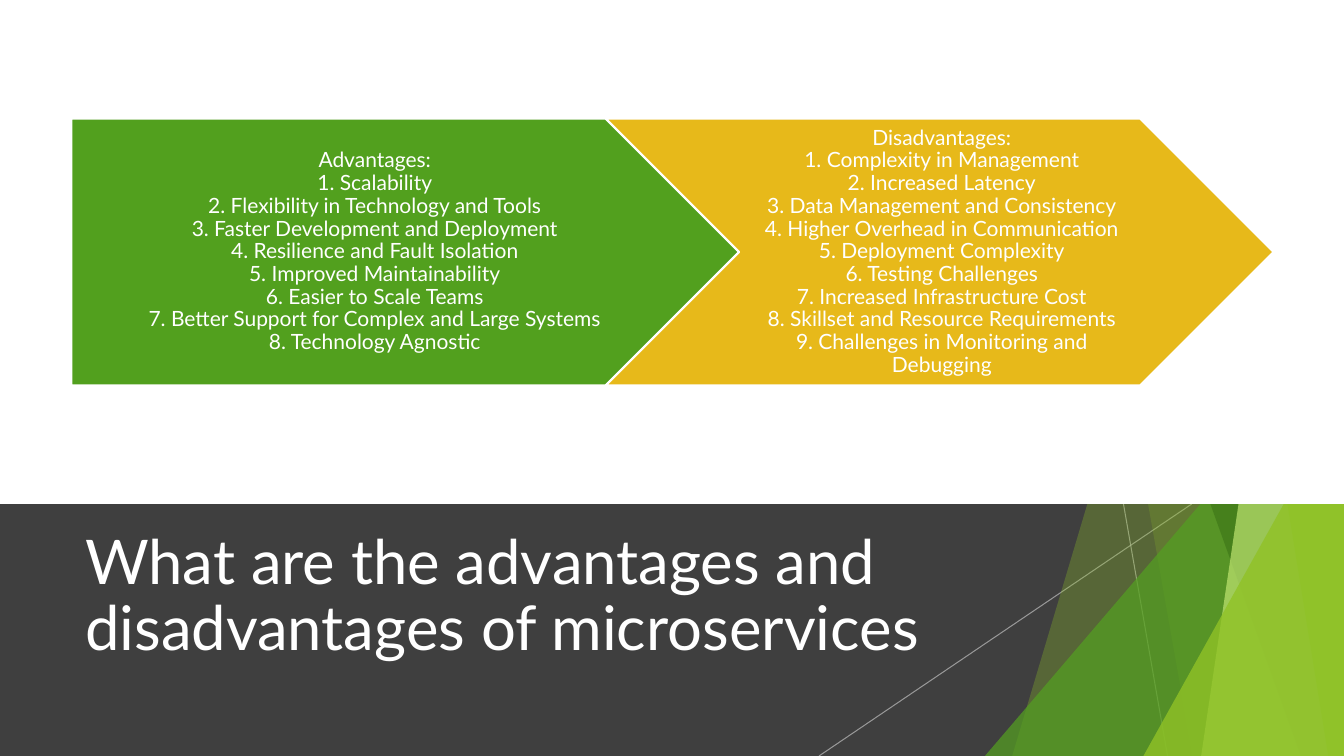
"""Build a slide that sets the advantages of microservices against the drawbacks."""
from dataclasses import dataclass

from lxml.etree import SubElement as Sub
from pptx import Presentation as Deck
from pptx.dml.color import RGBColor as Rgb
from pptx.enum.shapes import MSO_CONNECTOR as Link, MSO_SHAPE as Kind
from pptx.enum.text import MSO_ANCHOR as Anchor, PP_ALIGN as Align
from pptx.oxml.ns import qn
from pptx.util import Pt

PX = 9525
WIDE, HIGH, SPLIT = 1280, 720, 480


@dataclass(frozen=True)
class Theme:
    """Colours and type sizes of the slide."""
    font: str = "Lato"
    white: str = "FFFFFF"
    dark: str = "3F3F3F"
    ray: str = "BFBFBF"
    lime: str = "90C226"
    green: str = "54A021"
    deep: str = "3F7818"
    pale: str = "BFE471"
    pro: str = "52A01E"
    con: str = "E7B91A"
    title: int = 44
    body: int = 15


LOOK = Theme()

PROS = [
    "Advantages:",
    "1. Scalability",
    "2. Flexibility in Technology and Tools",
    "3. Faster Development and Deployment",
    "4. Resilience and Fault Isolation",
    "5. Improved Maintainability",
    "6. Easier to Scale Teams",
    "7. Better Support for Complex and Large Systems",
    "8. Technology Agnostic",
]
CONS = [
    "Disadvantages:",
    "1. Complexity in Management",
    "2. Increased Latency",
    "3. Data Management and Consistency",
    "4. Higher Overhead in Communication",
    "5. Deployment Complexity",
    "6. Testing Challenges",
    "7. Increased Infrastructure Cost",
    "8. Skillset and Resource Requirements",
    "9. Challenges in Monitoring and Debugging",
]


def emu(*nums):
    """Turn px lengths into EMU."""
    return [num * PX for num in nums]


def fade(item, alpha):
    """Set the opacity of an item in percent."""
    for tone in item._element.spPr.iter(qn("a:srgbClr")):
        Sub(tone, qn("a:alpha"), val=str(alpha * 1000))


def paint(shape, color, alpha=100):
    """Give a shape a flat fill without line or shadow."""
    shape.shadow.inherit = False
    shape.fill.solid()
    shape.fill.fore_color.rgb = Rgb.from_string(color)
    shape.line.fill.background()
    if alpha < 100:
        fade(shape, alpha)


def block(shapes, kind, box, color, alpha=100, adjust=None):
    """Add a filled preset shape."""
    shape = shapes.add_shape(kind, *emu(*box))
    if adjust is not None:
        shape.adjustments[0] = adjust
    paint(shape, color, alpha)
    return shape


def shard(shapes, top, foot, color, alpha):
    """Add a slanted pane that reaches to the right edge."""
    pen = shapes.build_freeform(top, -1, scale=PX)
    pen.add_line_segments([(WIDE, -1), (WIDE, HIGH), (foot, HIGH)], close=True)
    paint(pen.convert_to_shape(), color, alpha)


def wedge(shapes, left, top, color, alpha):
    """Add a right triangle in the lower right corner."""
    box = (left, top, WIDE - left, HIGH - top)
    block(shapes, Kind.ISOSCELES_TRIANGLE, box, color, alpha, 1)


def ray(shapes, top, foot):
    """Add a thin line across the dark band."""
    line = shapes.add_connector(Link.STRAIGHT, *emu(top, SPLIT, foot, HIGH))
    line.line.color.rgb = Rgb.from_string(LOOK.ray)
    line.line.width = Pt(0.75)
    fade(line, 70)
    Sub(line._element.spPr, qn("a:effectLst"))


def words(shapes, box, rows, size, align, inset):
    """Add a text box with its rows parted by line breaks."""
    area = shapes.add_textbox(*emu(*box))
    frame = area.text_frame
    frame.word_wrap = True
    frame.vertical_anchor = Anchor.MIDDLE
    (frame.margin_left, frame.margin_top,
     frame.margin_right, frame.margin_bottom) = emu(*inset)
    para = frame.paragraphs[0]
    para.alignment = align
    para.line_spacing = 0.9
    for spot, row in enumerate(rows):
        if spot:
            para.add_line_break()
        run = para.add_run()
        run.text = row
        run.font.name = LOOK.font
        run.font.size = Pt(size)
        run.font.color.rgb = Rgb.from_string(LOOK.white)


def arrow(shapes, kind, left, color, span, rows, pad):
    """Add a wide arrow with its list on top."""
    top, width, height = 113, 636, 254
    shape = block(shapes, kind, (left, top, width, height), color, adjust=0.5)
    shape.line.color.rgb = Rgb.from_string(LOOK.white)
    shape.line.width = Pt(1.5)
    start, reach = span
    words(shapes, (start, top, reach, height), rows, LOOK.body,
          Align.CENTER, (pad, 4, 2, 4))


def facet(shapes):
    """Add the rays and green panes on the right."""
    ray(shapes, 1070, 1112)
    ray(shapes, 1135, 780)
    shard(shapes, 1179, 964, LOOK.lime, 30)
    shard(shapes, 1008, 1136, LOOK.lime, 20)
    wedge(shapes, 938, 320, LOOK.green, 72)
    shard(shapes, 980, 1239, LOOK.deep, 70)
    shard(shapes, 1251, 1144, LOOK.pale, 70)
    shard(shapes, 1148, 1265, LOOK.lime, 65)
    wedge(shapes, 1089, 377, LOOK.lime, 80)


def main():
    """Build and save the slide."""
    deck = Deck()
    deck.slide_width, deck.slide_height = emu(WIDE, HIGH)
    shapes = deck.slides.add_slide(deck.slide_layouts[6]).shapes
    block(shapes, Kind.RECTANGLE, (0, SPLIT, WIDE, HIGH - SPLIT), LOOK.dark)
    facet(shapes)
    words(shapes, (71, 500, 902, 138),
          ["What are the advantages and disadvantages of microservices"],
          LOOK.title, Align.LEFT, (10, 5, 10, 5))
    block(shapes, Kind.RECTANGLE, (0, 0, WIDE, SPLIT), LOOK.white)
    arrow(shapes, Kind.PENTAGON, 68, LOOK.pro, (68, 571), PROS, 9)
    arrow(shapes, Kind.CHEVRON, 577, LOOK.con, (704, 381), CONS, 7)
    deck.save("out.pptx")


if __name__ == "__main__":
    main()
